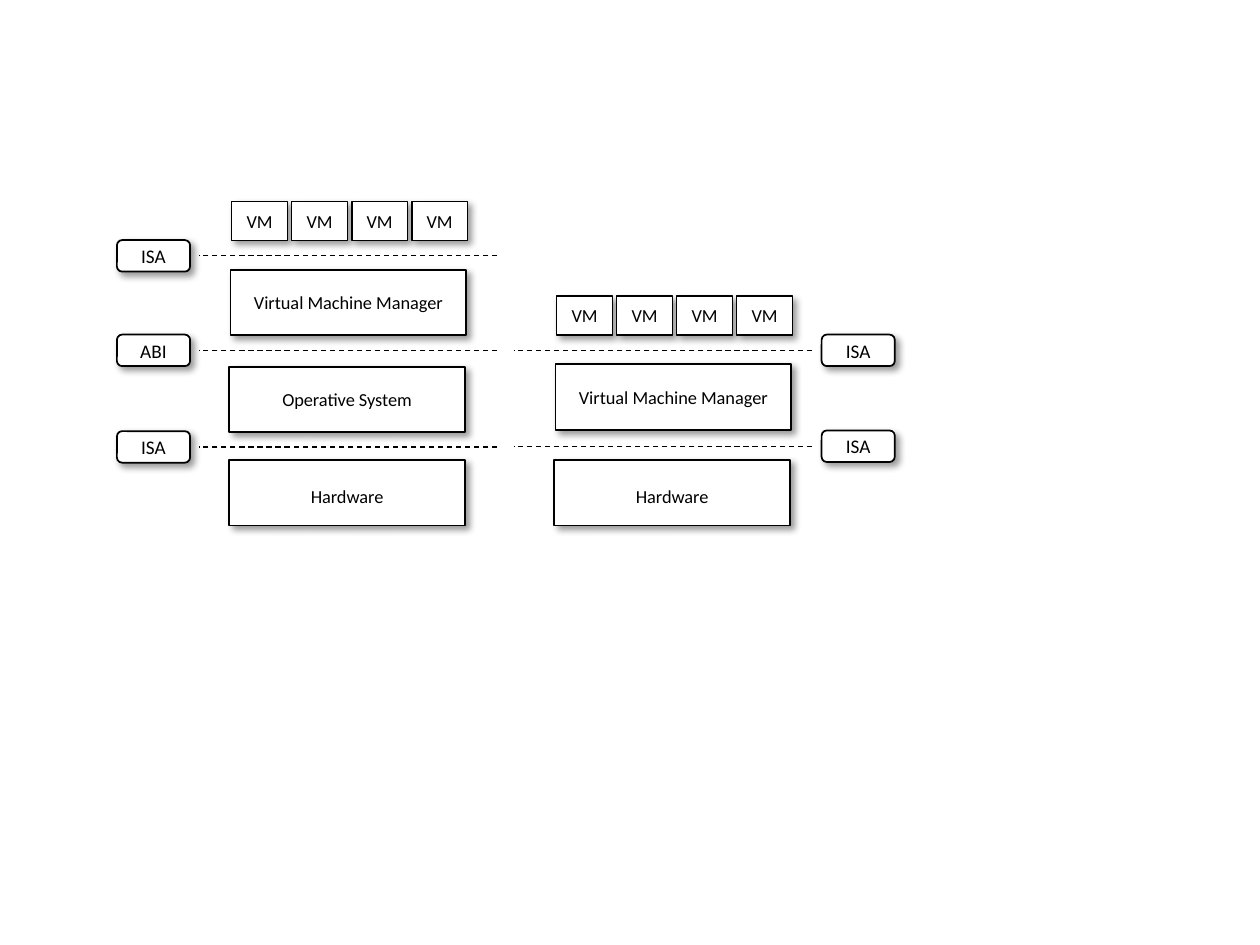
"""Build a slide comparing hosted and bare-metal virtual machine stacks."""
from dataclasses import dataclass

from lxml.etree import SubElement
from pptx import Presentation
from pptx.dml.color import RGBColor
from pptx.enum.dml import MSO_LINE
from pptx.enum.shapes import MSO_CONNECTOR, MSO_SHAPE
from pptx.enum.text import MSO_ANCHOR, PP_ALIGN
from pptx.oxml.ns import qn
from pptx.util import Pt


@dataclass(frozen=True)
class Theme:
    ink: RGBColor = RGBColor(0, 0, 0)
    paper: RGBColor = RGBColor(255, 255, 255)
    font: str = "Calibri"
    layer_size: float = 10.5
    interface_size: float = 11
    thick: float = 1
    thin: float = 0.75


THEME = Theme()
LAYER_SIZE = (134.64, 37.44)
MACHINE_SIZE = (31.68, 22.32)
INTERFACE_SIZE = (41.8, 18)
MACHINE_STEP = 34.3
DEFAULT_INSETS = (7.2, 3.6, 7.2, 3.6)
HARDWARE_INSETS = (7.2, 7.2, 7.2, 3.6)
INTERFACE_INSETS = (0, 3.6, 0, 3.6)

STACKS = [
    {
        "layers": [
            ("Hardware", 131.04, 262.8, HARDWARE_INSETS),
            ("Operative System", 131.04, 209.5, DEFAULT_INSETS),
            ("Virtual Machine Manager", 131.8, 154.1, DEFAULT_INSETS),
        ],
        "interfaces": [("ISA", 146.2), ("ABI", 200.2), ("ISA", 255.4)],
        "interface_left": 66.8,
        "boundary": (113.6, 284.2),
        "machines": ["VM"] * 4,
        "machines_at": (132.5, 115.2),
    },
    {
        "layers": [
            ("Hardware", 316.8, 262.8, HARDWARE_INSETS),
            ("Virtual Machine Manager", 317.5, 208.1, DEFAULT_INSETS),
        ],
        "interfaces": [("ISA", 200.2), ("ISA", 255)],
        "interface_left": 469.5,
        "boundary": (293.6, 463.9),
        "machines": ["VM"] * 4,
        "machines_at": (318.2, 169.2),
    },
]


def add_shadow(box):
    effects = SubElement(box._element.spPr, qn("a:effectLst"))
    shadow = SubElement(
        effects, qn("a:outerShdw"), blurRad=str(Pt(4)), dist=str(Pt(3)),
        dir="2700000", algn="tl", rotWithShape="0",
    )
    color = SubElement(shadow, qn("a:srgbClr"), val=str(THEME.ink))
    SubElement(color, qn("a:alpha"), val="40000")


def add_box(slide, label, left, top, size, text_size=THEME.layer_size,
            line_width=THEME.thick, insets=DEFAULT_INSETS, outline=MSO_SHAPE.RECTANGLE):
    box = slide.shapes.add_shape(outline, Pt(left), Pt(top), *map(Pt, size))
    box.fill.solid()
    box.fill.fore_color.rgb = THEME.paper
    box.line.color.rgb = THEME.ink
    box.line.width = Pt(line_width)
    add_shadow(box)
    frame = box.text_frame
    frame.word_wrap = True
    frame.vertical_anchor = MSO_ANCHOR.MIDDLE
    frame.margin_left, frame.margin_top, frame.margin_right, frame.margin_bottom = map(Pt, insets)
    frame.text = label
    paragraph = frame.paragraphs[0]
    paragraph.alignment = PP_ALIGN.CENTER
    font = paragraph.runs[0].font
    font.name = THEME.font
    font.size = Pt(text_size)
    font.color.rgb = THEME.ink


def add_boundary(slide, start, end, y):
    boundary = slide.shapes.add_connector(
        MSO_CONNECTOR.STRAIGHT, Pt(end), Pt(y), Pt(start), Pt(y))
    boundary.line.color.rgb = THEME.ink
    boundary.line.width = Pt(THEME.thin)
    boundary.line.dash_style = MSO_LINE.DASH
    SubElement(boundary._element.spPr, qn("a:effectLst"))


def add_stack(slide, stack):
    for label, left, top, insets in stack["layers"]:
        add_box(slide, label, left, top, LAYER_SIZE, insets=insets)
    for label, y in stack["interfaces"]:
        add_boundary(slide, *stack["boundary"], y)
        add_box(slide, label, stack["interface_left"], y - INTERFACE_SIZE[1] / 2,
                INTERFACE_SIZE, THEME.interface_size, insets=INTERFACE_INSETS,
                outline=MSO_SHAPE.ROUNDED_RECTANGLE)
    left, top = stack["machines_at"]
    for index, label in enumerate(stack["machines"]):
        add_box(slide, label, left + index * MACHINE_STEP, top, MACHINE_SIZE,
                line_width=THEME.thin)


def main():
    presentation = Presentation()
    presentation.slide_width, presentation.slide_height = Pt(720), Pt(540)
    slide = presentation.slides.add_slide(presentation.slide_layouts[6])
    for stack in STACKS:
        add_stack(slide, stack)
    presentation.save("out.pptx")


if __name__ == "__main__":
    main()
